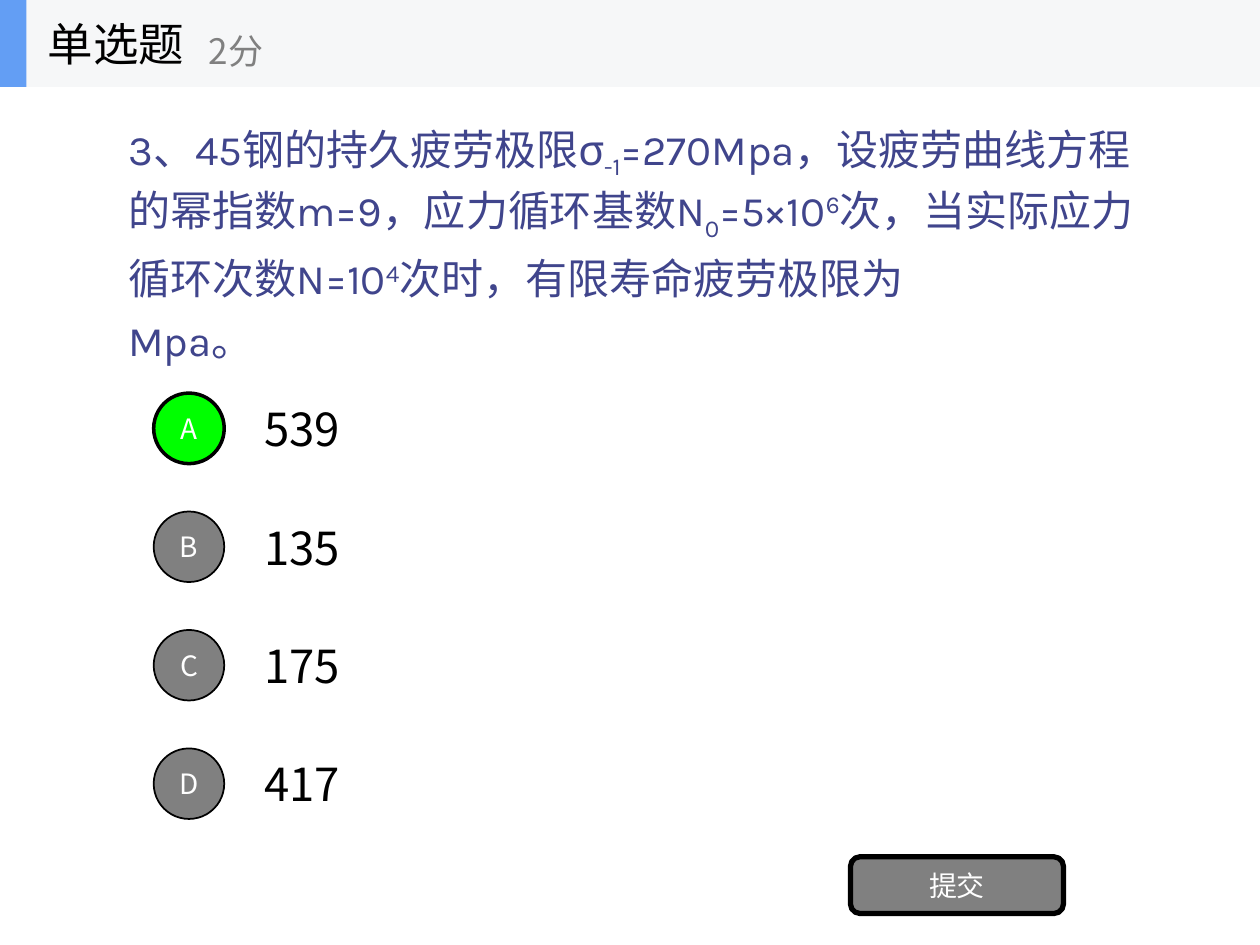
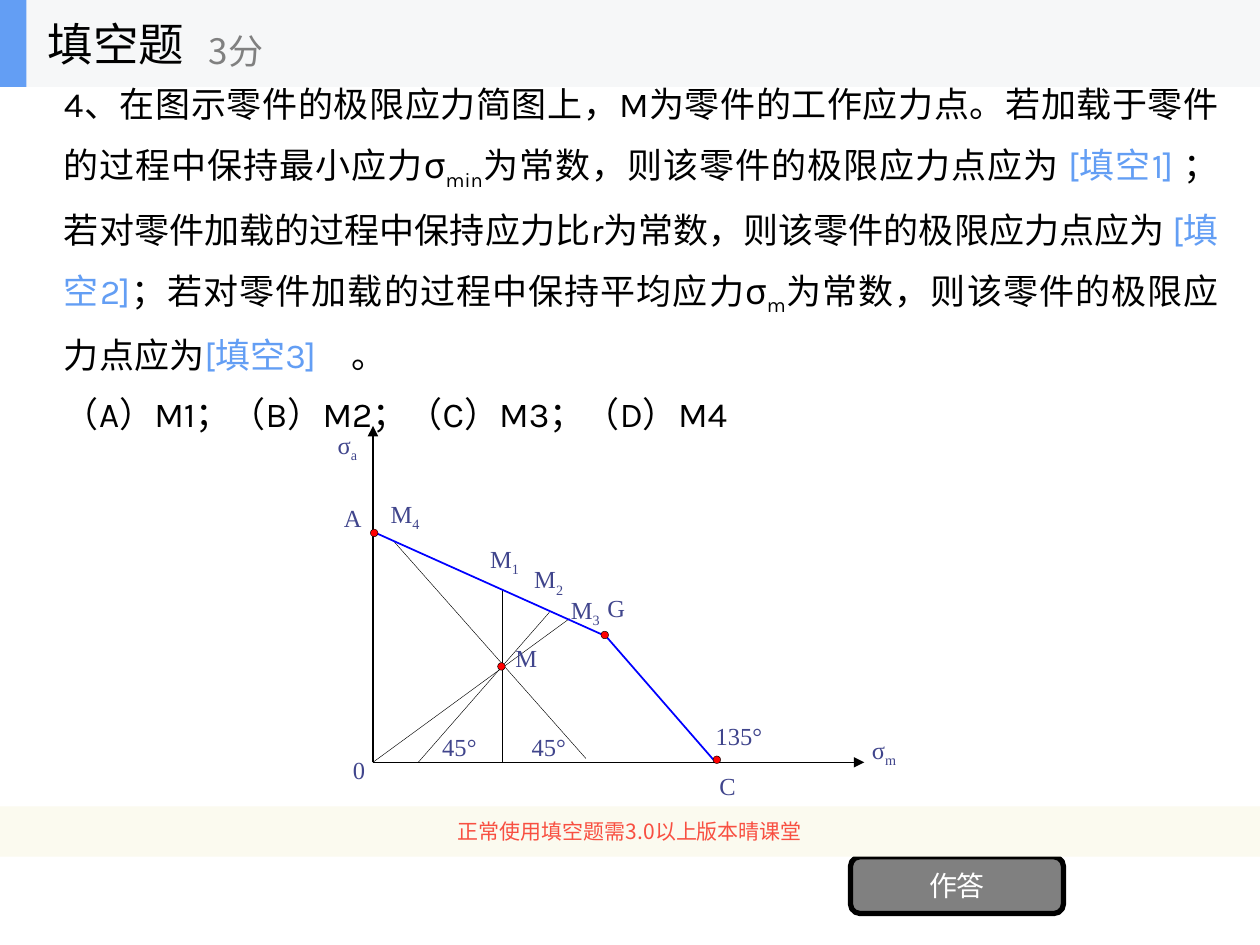
from lxml import etree
from pptx import Presentation
from pptx.dml.color import RGBColor
from pptx.enum.shapes import MSO_CONNECTOR, MSO_SHAPE
from pptx.enum.text import MSO_ANCHOR, PP_ALIGN
from pptx.oxml.ns import qn
from pptx.util import Inches, Pt

# Shared look
COLORS = {
    "white": "FFFFFF", "black": "000000", "gray": "808080", "band": "F6F7F8",
    "accent": "639EF4", "indigo": "40458C", "correct": "00FF00",
    "notice": "F84F41", "notice_band": "FBFAEF", "limit": "0000FF", "dot": "FF0000",
}
SANS, BODY, SERIF = "Noto Sans CJK SC", "Karla", "Times New Roman"
BASELINES = {"sub": "-25000", "sup": "30000"}

# Choice question: (text, style) spans
CHOICE_SPANS = [
    ("3、45钢的持久疲劳极限σ", ""), ("-1", "sub"),
    ("=270Mpa，设疲劳曲线方程的幂指数m=9，应力循环基数N", ""), ("0", "sub"),
    ("=5×10", ""), ("6", "sup"), ("次，当实际应力循环次数N=10", ""), ("4", "sup"),
    ("次时，有限寿命疲劳极限为", ""), ("\t", "underline"), ("Mpa。", ""),
]
ANSWERS = [("A", "539"), ("B", "135"), ("C", "175"), ("D", "417")]
CORRECT = "A"

# Fill-in question
BLANK_PARAGRAPHS = [
    [
        ("4、在图示零件的极限应力简图上，M为零件的工作应力点。"
         "若加载于零件的过程中保持最小应力σ", ""), ("min", "sub"),
        ("为常数，则该零件的极限应力点应为 ", ""), ("[填空1]", "accent"),
        (" ；若对零件加载的过程中保持应力比r为常数，则该零件的极限应力点应为 ", ""),
        ("[填空2]", "accent"), ("；若对零件加载的过程中保持平均应力σ", ""), ("m", "sub"),
        ("为常数，则该零件的极限应力点应为", ""), ("[填空3]", "accent"), ("　。", ""),
    ],
    [("（A）M1；（B）M2；（C）M3；（D）M4", "")],
]
NOTICE = "正常使用填空题需3.0以上版本晴课堂"

# Limit stress diagram, in inches on the slide
ORIGIN, POINT_A, POINT_G, POINT_C = (2.96, 6.05), (2.96, 4.22), (4.81, 5.05), (5.68, 6.05)
LOAD_LINES = [
    (ORIGIN, (4.52, 4.91)), ((3.32, 6.05), (4.36, 4.86)),
    ((4.65, 6.02), (3.12, 4.29)), ((3.99, 4.68), (3.99, 6.05)),
]
AXES = [(ORIGIN, (2.96, 3.38)), (ORIGIN, (6.86, 6.05))]
LIMIT_LINES = [(POINT_C, POINT_G), (POINT_G, POINT_A)]
DOTS = [(4.8, 5.04), (5.69, 6.03), (2.97, 4.23), (3.98, 5.29)]
DOT_SIZE = 0.06
DIAGRAM_LABELS = [  # text, subscript, left, top, width
    ("0", "", 2.79, 5.98, 0.31), ("45°", "", 3.5, 5.8, 0.38), ("45°", "", 4.21, 5.8, 0.35),
    ("135°", "", 5.67, 5.71, 0.44), ("σ", "a", 2.67, 3.4, 0.35), ("σ", "m", 6.91, 5.82, 0.42),
    ("A", "", 2.72, 3.98, 0.33), ("G", "", 4.81, 4.7, 0.35), ("C", "", 5.7, 6.11, 0.31),
    ("M", "", 4.08, 5.09, 0.33), ("M", "1", 3.88, 4.31, 0.31), ("M", "2", 4.23, 4.47, 0.31),
    ("M", "3", 4.52, 4.71, 0.31), ("M", "4", 3.09, 3.95, 0.31),
]


def rgb(name):
    return RGBColor.from_string(COLORS[name])


def write_spans(para, spans, size, font, color):
    for text, style in spans:
        span = para.add_run()
        span.text = text
        span.font.size, span.font.name = Pt(size), font
        span.font.color.rgb = rgb(style if style in COLORS else color)
        if style == "underline":
            span.font.underline = True
        if style in BASELINES:
            span.font._element.set("baseline", BASELINES[style])
        if font != SERIF:
            etree.SubElement(span.font._element, qn("a:ea"), typeface=SANS)


def add_text(shapes, bounds, paragraphs, size, font, color,
             anchor=MSO_ANCHOR.MIDDLE, align=PP_ALIGN.LEFT, inset=None):
    box = shapes.add_textbox(*map(Inches, bounds))
    frame = box.text_frame
    frame.word_wrap = True
    frame.vertical_anchor = anchor
    if inset is not None:
        frame.margin_left = frame.margin_right = Inches(inset)
        frame.margin_top = frame.margin_bottom = Inches(inset)
    for index, spans in enumerate(paragraphs):
        para = frame.add_paragraph() if index else frame.paragraphs[0]
        para.alignment = align
        write_spans(para, spans, size, font, color)
    return frame


def add_block(shapes, kind, bounds, fill, line=None, text="", size=16, color="white"):
    block = shapes.add_shape(kind, *map(Inches, bounds))
    block.shadow.inherit = False
    block.fill.solid()
    block.fill.fore_color.rgb = rgb(fill)
    if line is None:
        block.line.fill.background()
    else:
        block.line.color.rgb = rgb("black")
        block.line.width = Pt(line)
    if text:
        frame = block.text_frame
        frame.vertical_anchor = MSO_ANCHOR.MIDDLE
        frame.paragraphs[0].alignment = PP_ALIGN.CENTER
        write_spans(frame.paragraphs[0], [(text, "")], size, SANS, color)


def add_line(shapes, ends, color, width, arrow=False):
    start, end = ends
    line = shapes.add_connector(MSO_CONNECTOR.STRAIGHT, *map(Inches, start + end))
    line.line.color.rgb = rgb(color)
    line.line.width = Pt(width)
    if arrow:
        etree.SubElement(line.line._get_or_add_ln(), qn("a:tailEnd"), type="triangle")
    etree.SubElement(line._element.spPr, qn("a:effectLst"))


def add_header(page, title, score):
    shapes = page.shapes.add_group_shape().shapes
    add_block(shapes, MSO_SHAPE.RECTANGLE, (0, 0, 10, 0.69), "band")
    add_block(shapes, MSO_SHAPE.RECTANGLE, (0, 0, 0.21, 0.69), "accent")
    add_text(shapes, (0.28, 0, 2.08, 0.69), [[(title, "")]], 26, SANS, "black")
    add_text(shapes, (1.56, 0.12, 2.5, 0.56), [[(score, "")]], 20, SANS, "gray")


def add_button(page, caption):
    add_block(page.shapes, MSO_SHAPE.ROUNDED_RECTANGLE, (6.75, 6.8, 1.69, 0.45),
              "gray", 3, caption)


def build_choice(page):
    frame = add_text(page.shapes, (0.92, 0.75, 8.44, 2.34), [CHOICE_SPANS], 24, BODY, "indigo")
    para = frame.paragraphs[0]
    para.line_spacing = Pt(35)
    # The tab stop sets where the answer rule ends
    tabs = etree.SubElement(para._p.get_or_add_pPr(), qn("a:tabLst"))
    etree.SubElement(tabs, qn("a:tab"), pos=str(Inches(7.57)), algn="l")

    for row, (letter, value) in enumerate(ANSWERS):
        top = 3.05 + 0.94 * row
        chosen = letter == CORRECT
        add_text(page.shapes, (2, top, 7, 0.7), [[(value, "")]], 26, SANS, "black")
        add_block(page.shapes, MSO_SHAPE.OVAL, (1.22, top + 0.07, 0.56, 0.56),
                  "correct" if chosen else "gray", 2 if chosen else 1, letter)
    add_button(page, "提交")
    add_header(page, "单选题", "2分")


def build_diagram(page):
    shapes = page.shapes.add_group_shape().shapes
    for ends in LOAD_LINES:
        add_line(shapes, ends, "black", 0.25)
    for ends in AXES:
        add_line(shapes, ends, "black", 0.75, arrow=True)
    for ends in LIMIT_LINES:
        add_line(shapes, ends, "limit", 1)
    for x, y in DOTS:
        add_block(shapes, MSO_SHAPE.OVAL,
                  (x - DOT_SIZE / 2, y - DOT_SIZE / 2, DOT_SIZE, DOT_SIZE), "dot", 0.25)
    for text, subscript, left, top, width in DIAGRAM_LABELS:
        spans = [(text, "")] + ([(subscript, "sub")] if subscript else [])
        add_text(shapes, (left, top, width, 0.41), [spans], 14, SERIF, "indigo",
                 MSO_ANCHOR.TOP, PP_ALIGN.JUSTIFY, 0.01)


def build_fill_in(page):
    frame = add_text(page.shapes, (0.41, 1.28, 9.36, 2.34), BLANK_PARAGRAPHS,
                     20, BODY, "black", align=PP_ALIGN.JUSTIFY)
    frame.margin_bottom = Inches(0.98)  # lifts the question above the diagram
    for para in frame.paragraphs:
        para.line_spacing = 1.4
    add_button(page, "作答")
    add_block(page.shapes, MSO_SHAPE.RECTANGLE, (0, 6.4, 10, 0.4), "notice_band",
              text=NOTICE, size=12, color="notice")
    build_diagram(page)
    add_header(page, "填空题", "3分")


def main():
    deck = Presentation()
    deck.slide_width, deck.slide_height = Inches(10), Inches(7.5)
    for build in (build_choice, build_fill_in):
        build(deck.slides.add_slide(deck.slide_layouts[6]))
    deck.save("out.pptx")


if __name__ == "__main__":
    main()
